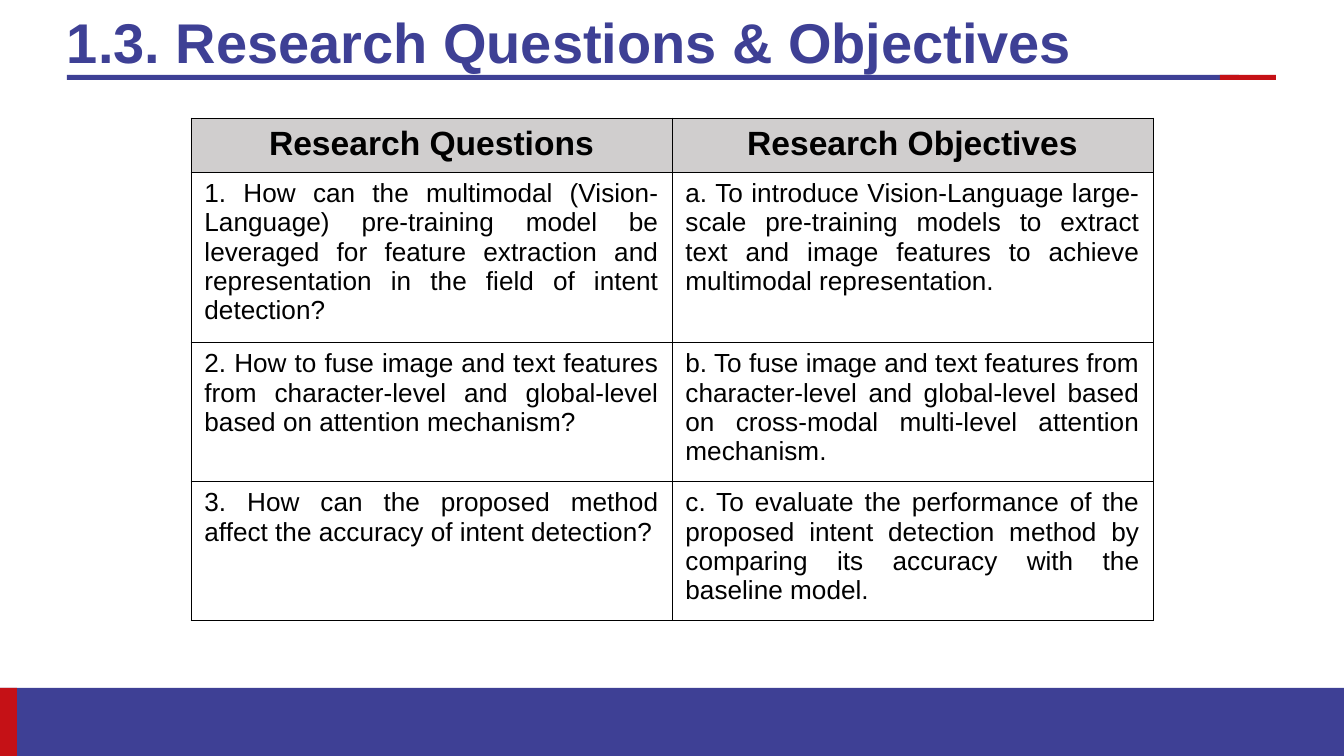
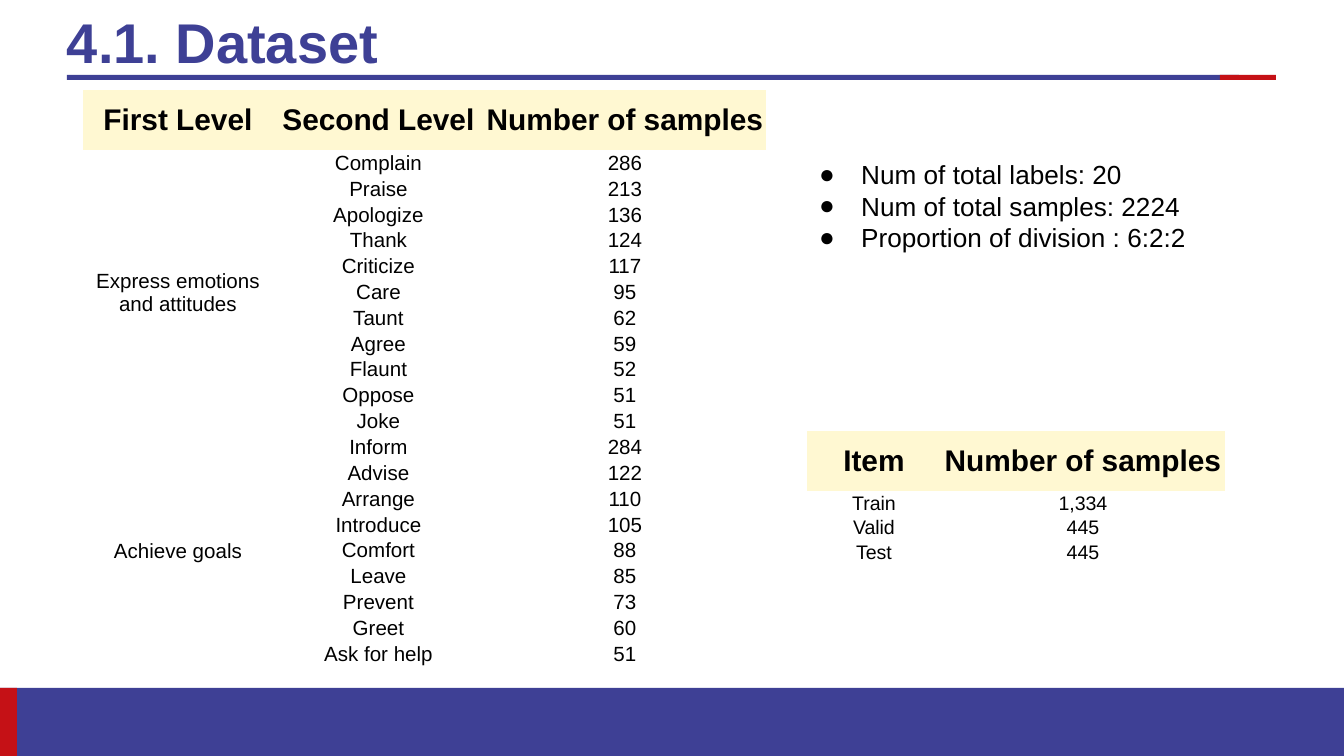
from dataclasses import dataclass
from typing import Optional

from pptx import Presentation
from pptx.dml.color import RGBColor
from pptx.enum.shapes import MSO_SHAPE
from pptx.enum.text import MSO_ANCHOR, PP_ALIGN
from pptx.oxml import parse_xml
from pptx.oxml.ns import nsdecls, qn
from pptx.presentation import Presentation as Deck
from pptx.slide import Slide
from pptx.table import Table, _Cell
from pptx.text.text import _Paragraph
from pptx.util import Emu, Pt

EMU_PER_PX = 914400 / 134.4
SLIDE_WIDTH, SLIDE_HEIGHT = 1344, 756
FONT = "Arial"
NO_STYLE = "{2D5ABB26-0587-4C30-8999-92F81FD0307C}"

BLUE = RGBColor(0x3E, 0x40, 0x95)
RED = RGBColor(0xC5, 0x11, 0x16)
BLACK = RGBColor(0, 0, 0)
GRAY = RGBColor(0xD0, 0xCE, 0xCE)
CREAM = RGBColor(0xFF, 0xF8, 0xD2)


@dataclass(frozen=True)
class Band:
    """A filled rectangle shared by all slides."""
    left: int
    top: int
    width: int
    height: int
    color: RGBColor


@dataclass(frozen=True)
class Margins:
    """Cell margins in px."""
    left: int
    right: int
    top: int
    bottom: int


@dataclass(frozen=True)
class TableBlock:
    """A table whose first row is a header."""
    left: int
    top: int
    columns: tuple[int, ...]
    heights: tuple[int, ...]
    rows: tuple[tuple[str, ...], ...]
    header_fill: RGBColor
    header_size: float
    body_size: float
    body_alignment: PP_ALIGN = PP_ALIGN.CENTER
    anchor: MSO_ANCHOR = MSO_ANCHOR.MIDDLE
    margins: Optional[Margins] = Margins(1, 1, 1, 0)
    bordered: bool = False


BANDS = (
    Band(67, 75, 1172, 5, BLUE),
    Band(1220, 75, 56, 5, RED),
    Band(0, 688, SLIDE_WIDTH, 68, BLUE),
    Band(0, 688, 17, 68, RED),
)

QUESTIONS = (
    ("Research Questions", "Research Objectives"),
    ("1. How can the multimodal (Vision-Language) pre-training model be leveraged "
     "for feature extraction and representation in the field of intent detection?",
     "a. To introduce Vision-Language large-scale pre-training models to extract "
     "text and image features to achieve multimodal representation."),
    ("2. How to fuse image and text features from character-level and global-level "
     "based on attention mechanism?",
     "b. To fuse image and text features from character-level and global-level "
     "based on cross-modal multi-level attention mechanism."),
    ("3. How can the proposed method affect the accuracy of intent detection?",
     "c. To evaluate the performance of the proposed intent detection method by "
     "comparing its accuracy with the baseline model."),
)

INTENTS = {
    "Express emotions and attitudes": (
        ("Complain", 286), ("Praise", 213), ("Apologize", 136), ("Thank", 124),
        ("Criticize", 117), ("Care", 95), ("Taunt", 62), ("Agree", 59),
        ("Flaunt", 52), ("Oppose", 51), ("Joke", 51),
    ),
    "Achieve goals": (
        ("Inform", 284), ("Advise", 122), ("Arrange", 110), ("Introduce", 105),
        ("Comfort", 88), ("Leave", 85), ("Prevent", 73), ("Greet", 60),
        ("Ask for help", 51),
    ),
}

SPLIT = (("Item", "Number of samples"), ("Train", "1,334"), ("Valid", "445"), ("Test", "445"))

FACTS = ("Num of total labels: 20", "Num of total samples: 2224", "Proportion of division : 6:2:2")


def px(length: float) -> Emu:
    """Turn px into EMU."""
    return Emu(round(length * EMU_PER_PX))


def split_evenly(total: int, count: int) -> tuple[int, ...]:
    """Divide a length into whole parts that add up to it."""
    return tuple(total * (i + 1) // count - total * i // count for i in range(count))


def set_font(paragraph: _Paragraph, size: float, color: RGBColor = BLACK, bold: bool = False) -> None:
    """Set the font of a paragraph."""
    font = paragraph.font
    font.name, font.size, font.bold = FONT, Pt(size), bold
    font.color.rgb = color


def add_band(slide: Slide, band: Band) -> None:
    """Draw one band."""
    shape = slide.shapes.add_shape(
        MSO_SHAPE.RECTANGLE, px(band.left), px(band.top), px(band.width), px(band.height))
    shape.shadow.inherit = False
    shape.fill.solid()
    shape.fill.fore_color.rgb = band.color
    shape.line.fill.background()


def add_titled_slide(presentation: Deck, title: str) -> Slide:
    """Add a slide with the shared bands and title style."""
    slide = presentation.slides.add_slide(presentation.slide_layouts[6])
    for band in BANDS:
        add_band(slide, band)
    frame = slide.shapes.add_textbox(px(67), px(0), px(1210), px(90)).text_frame
    frame.word_wrap = True
    frame.vertical_anchor = MSO_ANCHOR.MIDDLE
    frame.margin_left = frame.margin_right = frame.margin_top = frame.margin_bottom = 0
    paragraph = frame.paragraphs[0]
    paragraph.text = title
    paragraph.line_spacing = 0.9
    set_font(paragraph, 30, BLUE, True)
    return slide


def add_borders(cell: _Cell) -> None:
    """Give a cell thin black borders, placed ahead of its fill."""
    properties = cell._tc.get_or_add_tcPr()
    for index, side in enumerate(("lnL", "lnR", "lnT", "lnB")):
        properties.insert(index, parse_xml(
            f'<a:{side} {nsdecls("a")} w="{Pt(0.5)}"><a:solidFill>'
            f'<a:srgbClr val="{BLACK}"/></a:solidFill></a:{side}>'))


def fill_cell(cell: _Cell, text: str, block: TableBlock, is_header: bool) -> None:
    """Write and style one cell."""
    cell.vertical_anchor = block.anchor
    if block.margins:
        cell.margin_left, cell.margin_right = px(block.margins.left), px(block.margins.right)
        cell.margin_top, cell.margin_bottom = px(block.margins.top), px(block.margins.bottom)
    paragraph = cell.text_frame.paragraphs[0]
    paragraph.text = text
    paragraph.alignment = PP_ALIGN.CENTER if is_header else block.body_alignment
    set_font(paragraph, block.header_size if is_header else block.body_size, bold=is_header)
    if is_header:
        cell.fill.solid()
        cell.fill.fore_color.rgb = block.header_fill
    else:
        cell.fill.background()
    if block.bordered:
        add_borders(cell)


def add_table_block(slide: Slide, block: TableBlock) -> Table:
    """Draw a table without a built-in style."""
    table = slide.shapes.add_table(
        len(block.rows), len(block.columns), px(block.left), px(block.top),
        px(sum(block.columns)), px(sum(block.heights))).table
    table.horz_banding = False
    table._tbl.tblPr.find(qn("a:tableStyleId")).text = NO_STYLE
    for column, width in zip(table.columns, block.columns):
        column.width = px(width)
    for row_index, (height, texts) in enumerate(zip(block.heights, block.rows)):
        table.rows[row_index].height = px(height)
        for column_index, text in enumerate(texts):
            fill_cell(table.cell(row_index, column_index), text, block, row_index == 0)
    return table


def add_bullets(slide: Slide, texts: tuple[str, ...]) -> None:
    """Draw the list of dataset facts."""
    frame = slide.shapes.add_textbox(px(806), px(152), px(446), px(109)).text_frame
    frame.word_wrap = True
    for index, text in enumerate(texts):
        paragraph = frame.add_paragraph() if index else frame.paragraphs[0]
        paragraph.text = text
        properties = paragraph._p.get_or_add_pPr()
        properties.set("marL", str(px(42)))
        properties.set("indent", str(-px(42)))
        for element in (f'<a:buClr {nsdecls("a")}><a:srgbClr val="{BLACK}"/></a:buClr>',
                        f'<a:buFont {nsdecls("a")} typeface="{FONT}"/>',
                        f'<a:buChar {nsdecls("a")} char="●"/>'):
            properties.append(parse_xml(element))
        set_font(paragraph, 14)


def build_questions_slide(presentation: Deck) -> None:
    """Build the slide of research questions and objectives."""
    slide = add_titled_slide(presentation, "1.3. Research Questions & Objectives")
    add_table_block(slide, TableBlock(
        191, 118, (481, 481), (54, 152, 95, 138), QUESTIONS, GRAY, 18, 14,
        PP_ALIGN.JUSTIFY, MSO_ANCHOR.TOP, None, True))


def build_dataset_slide(presentation: Deck) -> None:
    """Build the slide of dataset counts."""
    slide = add_titled_slide(presentation, "4.1. Dataset")
    rows = [("First Level", "Second Level", "Number of samples")]
    for level, intents in INTENTS.items():
        for index, (intent, count) in enumerate(intents):
            rows.append(("" if index else level, intent, str(count)))
    table = add_table_block(slide, TableBlock(
        83, 90, (190, 211, 282), (60, *split_evenly(511, len(rows) - 1)),
        tuple(rows), CREAM, 16, 11))
    first = 1
    for intents in INTENTS.values():
        last = first + len(intents) - 1
        table.cell(first, 0).merge(table.cell(last, 0))
        first = last + 1
    add_table_block(slide, TableBlock(
        807, 431, (134, 284), (60, *split_evenly(70, len(SPLIT) - 1)), SPLIT, CREAM, 16, 10.5))
    add_bullets(slide, FACTS)


def main() -> None:
    """Build and save the presentation."""
    presentation = Presentation()
    presentation.slide_width, presentation.slide_height = px(SLIDE_WIDTH), px(SLIDE_HEIGHT)
    build_questions_slide(presentation)
    build_dataset_slide(presentation)
    presentation.save("out.pptx")


if __name__ == "__main__":
    main()
